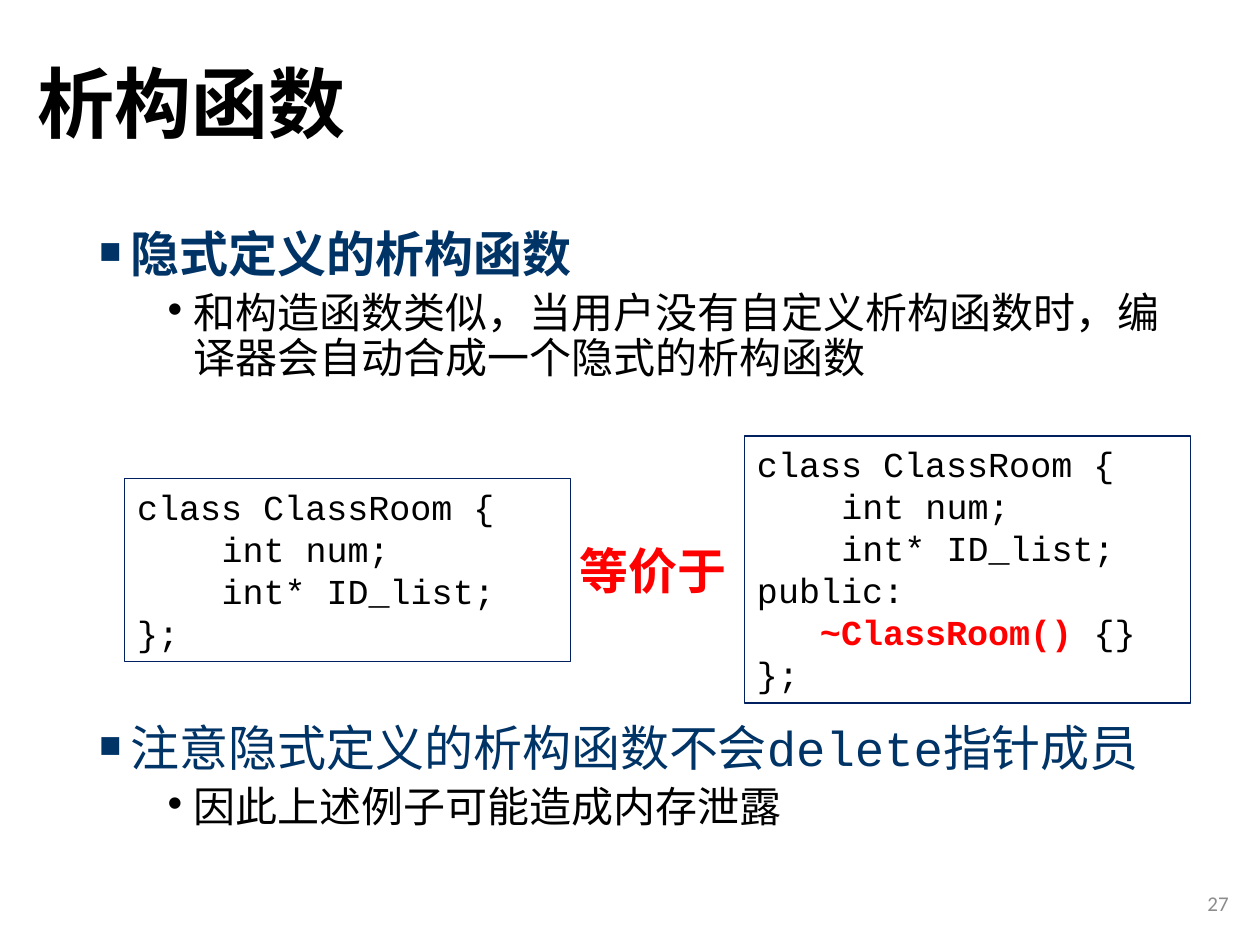
from lxml import etree
from pptx import Presentation
from pptx.dml.color import RGBColor
from pptx.enum.shapes import MSO_SHAPE
from pptx.enum.text import MSO_ANCHOR, PP_ALIGN
from pptx.oxml.ns import qn
from pptx.util import Inches, Pt

BLACK = RGBColor(0x00, 0x00, 0x00)
HEADING_BLUE = RGBColor(0x00, 0x33, 0x66)
BORDER_NAVY = RGBColor(0x00, 0x20, 0x60)
RED = RGBColor(0xFF, 0x00, 0x00)
GRAY = RGBColor(0x8C, 0x8C, 0x8C)
CHINESE_FONT = "Noto Sans CJK SC"
CODE_FONT = "Courier New"
LABEL_FONT = "Calibri"


def add_text(paragraph, text, size, font=CODE_FONT, color=BLACK, bold=False):
    run = paragraph.add_run()
    run.text = text
    run.font.size = Pt(size)
    run.font.name = font
    run.font.bold = bold
    run.font.color.rgb = color
    east_asian = etree.SubElement(run._r.get_or_add_rPr(), qn("a:ea"))
    east_asian.set("typeface", CHINESE_FONT)


def set_indent(paragraph, left, first=0):
    properties = paragraph._p.get_or_add_pPr()
    properties.set("marL", str(Inches(left)))
    properties.set("indent", str(Inches(first)))
    return properties


def set_bullet(paragraph, character, left, percent):
    properties = set_indent(paragraph, left, -0.25)
    for tag, name, value in (
        ("a:buSzPct", "val", str(percent * 1000)),
        ("a:buFont", "typeface", CODE_FONT),
        ("a:buChar", "char", character),
    ):
        etree.SubElement(properties, qn(tag)).set(name, value)


def add_box(slide, box, anchor=MSO_ANCHOR.TOP, wrap=True):
    frame = slide.shapes.add_textbox(*map(Inches, box)).text_frame
    frame.word_wrap = wrap
    frame.vertical_anchor = anchor
    return frame


def add_title(slide, box, text):
    paragraph = add_box(slide, box, MSO_ANCHOR.MIDDLE).paragraphs[0]
    paragraph.line_spacing = 0.9
    add_text(paragraph, text, 44, font=CHINESE_FONT, bold=True)


def add_topic(slide, box, heading, detail, bold=False):
    frame = add_box(slide, box)
    top, sub = frame.paragraphs[0], frame.add_paragraph()
    sub.level = 1
    for paragraph, space in ((top, 10), (sub, 5)):
        paragraph.line_spacing = 0.9
        paragraph.space_before = Pt(space)
    set_bullet(top, "■", 0.25, 75)
    set_bullet(sub, "•", 0.75, 100)
    add_text(top, heading, 28, color=HEADING_BLUE, bold=bold)
    add_text(sub, detail, 24)


def add_code(slide, box, lines):
    shape = slide.shapes.add_shape(MSO_SHAPE.RECTANGLE, *map(Inches, box))
    shape.shadow.inherit = False
    shape.fill.background()
    shape.line.color.rgb = BORDER_NAVY
    shape.line.width = Pt(0.75)
    frame = shape.text_frame
    frame.word_wrap = True
    frame.vertical_anchor = MSO_ANCHOR.TOP
    for index, (indent, text, highlight) in enumerate(lines):
        paragraph = frame.add_paragraph() if index else frame.paragraphs[0]
        paragraph.alignment = PP_ALIGN.LEFT
        set_indent(paragraph, indent)
        if highlight:
            add_text(paragraph, highlight, 20, color=RED, bold=True)
        add_text(paragraph, text, 20)


def add_label(slide, box, text):
    paragraph = add_box(slide, box, wrap=False).paragraphs[0]
    add_text(paragraph, text, 28, font=LABEL_FONT, color=RED, bold=True)


def add_page_number(slide, box, number):
    paragraph = add_box(slide, box, MSO_ANCHOR.MIDDLE).paragraphs[0]
    paragraph.alignment = PP_ALIGN.RIGHT
    add_text(paragraph, number, 12, font=LABEL_FONT, color=GRAY)


def main():
    presentation = Presentation()
    presentation.slide_width = Inches(10)
    presentation.slide_height = Inches(7.5)
    slide = presentation.slides.add_slide(presentation.slide_layouts[6])

    members = [
        (0, "class ClassRoom {", ""),
        (0.67, "int num;", ""),
        (0.67, "int* ID_list;", ""),
    ]
    destructor = [(0, "public:", ""), (0.5, "{}", "~ClassRoom() ")]
    closing = [(0, "};", "")]

    add_title(slide, (0.2, 0.13, 8.62, 1.45), "析构函数")
    add_topic(slide, (0.69, 1.78, 8.8, 1.4), "隐式定义的析构函数",
              "和构造函数类似，当用户没有自定义析构函数时，编译器会自动合成一个隐式的析构函数",
              bold=True)
    add_topic(slide, (0.69, 5.7, 8.8, 1.2), "注意隐式定义的析构函数不会delete指针成员",
              "因此上述例子可能造成内存泄露")
    add_page_number(slide, (7.6, 6.97, 2.25, 0.4), "27")
    add_code(slide, (5.91, 3.46, 3.54, 2.12), members + destructor + closing)
    add_code(slide, (0.99, 3.8, 3.54, 1.45), members + closing)
    add_label(slide, (4.5, 4.24, 1.38, 0.57), "等价于")
    presentation.save("out.pptx")


if __name__ == "__main__":
    main()
